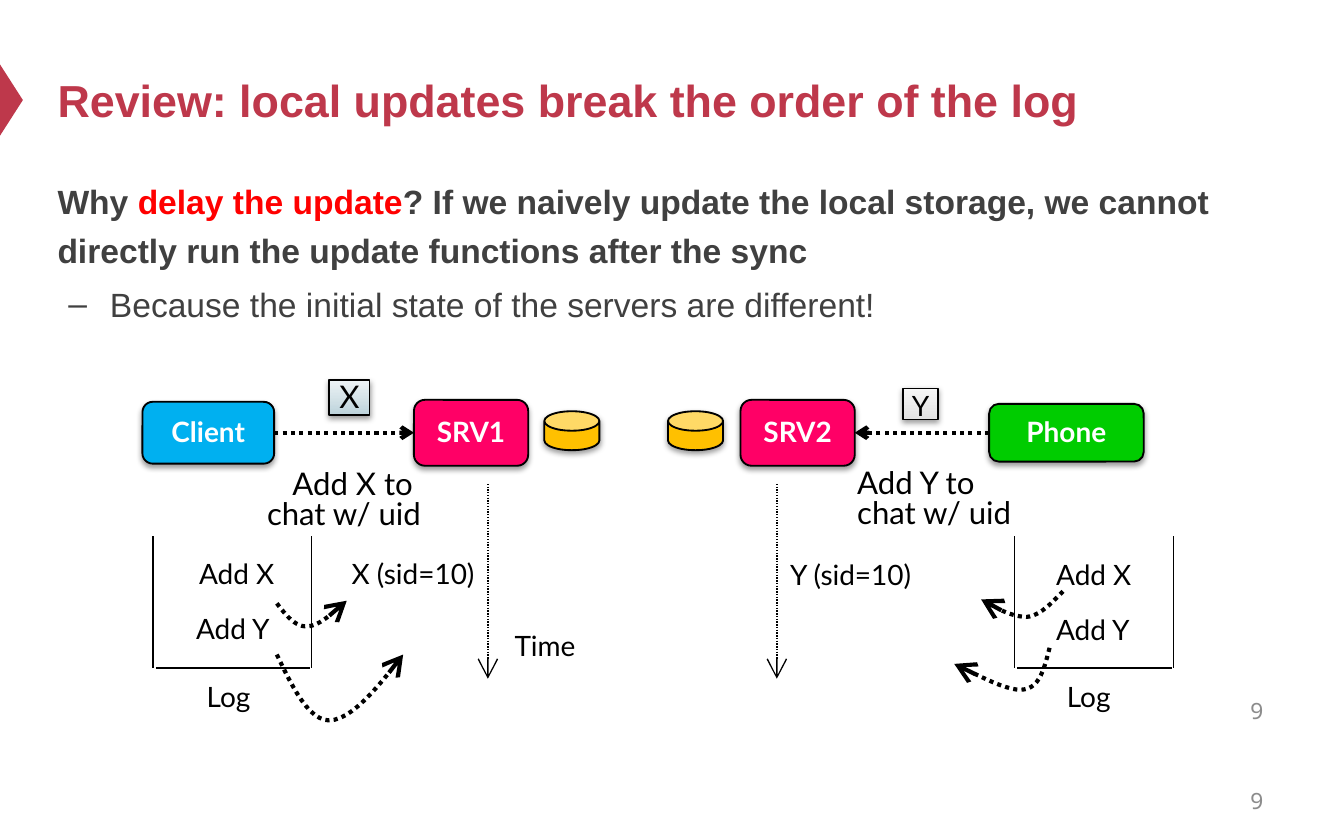
from lxml import etree
from pptx import Presentation
from pptx.dml.color import RGBColor
from pptx.enum.dml import MSO_LINE
from pptx.enum.shapes import MSO_CONNECTOR, MSO_SHAPE
from pptx.enum.text import MSO_ANCHOR, MSO_AUTO_SIZE, PP_ALIGN
from pptx.oxml.ns import qn
from pptx.util import Inches, Pt

LEFT, CENTER, RIGHT = PP_ALIGN.LEFT, PP_ALIGN.CENTER, PP_ALIGN.RIGHT
TOP, MIDDLE = MSO_ANCHOR.TOP, MSO_ANCHOR.MIDDLE
DOTTED, STRAIGHT = MSO_LINE.ROUND_DOT, MSO_CONNECTOR.STRAIGHT
RECT, ROUNDED, CAN = MSO_SHAPE.RECTANGLE, MSO_SHAPE.ROUNDED_RECTANGLE, MSO_SHAPE.CAN
TRIANGLE = MSO_SHAPE.ISOSCELES_TRIANGLE
CONNECT_LEFT, CONNECT_RIGHT = 1, 3

THEME = {
    "accent": "BE384B", "body": "404040", "alert": "FF0000", "ink": "000000",
    "server": "FF0066", "client": "00B0F0", "phone": "00CC00", "store": "FFC000",
    "x_op": ("BDD3DB", "EDF3F5"), "y_op": ("E2E2E2", "F7F7F7"),
}
STYLES = {
    "title": {"name": "Arial", "size": Pt(24), "bold": True, "color": THEME["accent"]},
    "claim": {"name": "Arial", "size": Pt(18), "bold": True, "color": THEME["body"]},
    "alert": {"name": "Arial", "size": Pt(18), "bold": True, "color": THEME["alert"]},
    "reason": {"name": "Arial", "size": Pt(18), "bold": False, "color": THEME["body"]},
    "page": {"name": "Noto Sans Mono", "size": Pt(12), "color": "8C8C8C"},
    "node": {"name": "Lato", "size": Pt(15), "bold": True, "color": "FFFFFF"},
    "label": {"name": "Lato", "size": Pt(15), "color": THEME["ink"]},
    "request": {"name": "Lato", "size": Pt(16.7), "color": THEME["ink"]},
}

TITLE = "Review: local updates break the order of the log"
CLAIM = [
    ("Why ", "claim"),
    ("delay the update", "alert"),
    ("? If we naively update the local storage, we cannot directly run "
     "the update functions after the sync", "claim"),
]
REASON = "Because the initial state of the servers are different!"
PAGE, PAGE_TOPS = "9", (5.12, 5.79)

ROW_Y = 3.22
NODES = {
    "Client": (1.06, 0.98, 0.46, "client"),
    "SRV1": (3.08, 0.85, 0.49, "server"),
    "SRV2": (5.51, 0.85, 0.49, "server"),
    "Phone": (7.36, 1.15, 0.43, "phone"),
}
REQUESTS = [("Client", CONNECT_RIGHT, "SRV1", CONNECT_LEFT),
            ("Phone", CONNECT_LEFT, "SRV2", CONNECT_RIGHT)]
STORES = (4.05, 4.97)
OPERATIONS = [("X", (2.45, 2.83, 0.3, 0.26), "x_op", "request", 1, 0.03),
              ("Y", (6.72, 2.89, 0.26, 0.23), "y_op", "label", 0.75, 0.07)]
LABELS = [
    ("Add X to \nchat w/ uid", (1.84, 3.46, 1.39, 0.55), "request", RIGHT, 0.8),
    ("Add Y to\nchat w/ uid", (6.28, 3.45, 1.39, 0.55), "request", LEFT, 0.8),
    ("X (sid=10)", (2.5, 4.14, 1.13, 0.31), "label", RIGHT, 0.8),
    ("Y (sid=10)", (5.78, 4.15, 1.12, 0.31), "label", LEFT, 0.8),
    ("Add X", (1.36, 4.14, 0.78, 0.31), "label", RIGHT, 0.8),
    ("Add Y ", (1.34, 4.55, 0.81, 0.31), "label", RIGHT, 0.8),
    ("Add X", (7.76, 4.15, 0.78, 0.31), "label", LEFT, 0.8),
    ("Add Y", (7.76, 4.56, 0.76, 0.31), "label", LEFT, 0.8),
    ("Time", (3.73, 4.63, 0.72, 0.35), "label", LEFT, 1.0),
    ("Log", (1.44, 5.01, 0.56, 0.35), "label", LEFT, 1.0),
    ("Log", (7.84, 5.01, 0.56, 0.35), "label", LEFT, 1.0),
]
TIMELINES, TIME_START, TIME_END = (3.63, 5.78), 3.6, 5.05
LOGS, LOG_WIDTH, LOG_TOP, LOG_BOTTOM = (1.14, 7.55), 1.18, 3.99, 4.97
REPLAYS = [
    [(2.06, 4.87), (2.18, 5.12), (2.3, 5.36), (2.45, 5.36), (2.61, 5.36), (2.81, 5.12), (3, 4.87)],
    [(2.06, 4.49), (2.13, 4.58), (2.2, 4.67), (2.29, 4.66), (2.37, 4.66), (2.48, 4.56), (2.58, 4.47)],
    [(7.91, 4.4), (7.82, 4.49), (7.74, 4.58), (7.64, 4.59), (7.53, 4.59), (7.42, 4.53), (7.3, 4.46)],
    [(7.81, 4.82), (7.77, 4.97), (7.74, 5.11), (7.62, 5.13), (7.51, 5.15), (7.31, 5.04), (7.1, 4.94)],
]
CURVE_STEPS = 12

deck = Presentation()
deck.slide_width, deck.slide_height = Inches(10), Inches(6.25)
slide = deck.slides.add_slide(deck.slide_layouts[6])
shapes = slide.shapes


def rgb(value):
    return RGBColor.from_string(value)


def apply(target, settings):
    for attribute, value in settings.items():
        setattr(target, attribute, value)


def write(paragraph, text, style):
    for index, line in enumerate(text.split("\n")):
        if index:
            paragraph.add_line_break()
        run = paragraph.add_run()
        run.text = line
        for attribute, value in STYLES[style].items():
            if attribute == "color":
                run.font.color.rgb = rgb(value)
            else:
                setattr(run.font, attribute, value)


def add_text(box, text, style, align=LEFT, spacing=1.0, wrap=True, anchor=TOP):
    area = shapes.add_textbox(*map(Inches, box))
    apply(area.text_frame, {"word_wrap": wrap, "vertical_anchor": anchor})
    if not wrap:
        area.text_frame.auto_size = MSO_AUTO_SIZE.SHAPE_TO_FIT_TEXT
    paragraph = area.text_frame.paragraphs[0]
    apply(paragraph, {"alignment": align, "line_spacing": spacing})
    write(paragraph, text, style)


def add_block(kind, box, fill, line_width=1, text="", style="node", insets=(0, 0.03, 0, 0.05),
              spacing=1.0):
    block = shapes.add_shape(kind, *map(Inches, box))
    if isinstance(fill, tuple):
        block.fill.gradient()
        block.fill.gradient_angle = 90
        for stop, color in zip(block.fill.gradient_stops, fill):
            stop.color.rgb = rgb(color)
    else:
        block.fill.solid()
        block.fill.fore_color.rgb = rgb(fill)
    block.line.color.rgb = rgb(THEME["ink"])
    block.line.width = Pt(line_width)
    block.shadow.inherit = False
    effects = block._element.spPr.find(qn("a:effectLst"))
    shadow = etree.SubElement(effects, qn("a:outerShdw"), blurRad=str(Pt(3.1)),
                              dist=str(Pt(1.6)), dir="5400000", rotWithShape="0")
    color = etree.SubElement(shadow, qn("a:srgbClr"), val=THEME["ink"])
    etree.SubElement(color, qn("a:alpha"), val="38000")
    if text:
        frame = block.text_frame
        apply(frame, {"word_wrap": False, "vertical_anchor": MIDDLE})
        sides = ("margin_left", "margin_top", "margin_right", "margin_bottom")
        apply(frame, dict(zip(sides, map(Inches, insets))))
        apply(frame.paragraphs[0], {"alignment": CENTER, "line_spacing": spacing})
        write(frame.paragraphs[0], text, style)
    return block


def style_line(stroke, width, dotted=False, arrow=None):
    stroke.line.color.rgb = rgb(THEME["ink"])
    stroke.line.width = Pt(width)
    if dotted:
        stroke.line.dash_style = DOTTED
    if arrow:
        etree.SubElement(stroke.line._get_or_add_ln(), qn("a:tailEnd"),
                         type="arrow", w=arrow, len=arrow)


def add_line(x1, y1, x2, y2, width=0.75, dotted=False, arrow=None):
    line = shapes.add_connector(STRAIGHT, *map(Inches, (x1, y1, x2, y2)))
    style_line(line, width, dotted, arrow)
    etree.SubElement(line._element.spPr, qn("a:effectLst"))
    return line


def curve_points(controls):
    for start in range(0, len(controls) - 1, 3):
        for step in range(1, CURVE_STEPS + 1):
            t = step / CURVE_STEPS
            weights = ((1 - t) ** 3, 3 * t * (1 - t) ** 2, 3 * t * t * (1 - t), t ** 3)
            yield tuple(Inches(sum(w * point[axis] for w, point
                                   in zip(weights, controls[start:start + 4])))
                        for axis in (0, 1))


marker = shapes.add_shape(TRIANGLE, *map(Inches, (-0.18, 0.66, 0.53, 0.17)))
marker.rotation = 90
marker.fill.solid()
marker.fill.fore_color.rgb = rgb(THEME["accent"])
marker.line.fill.background()
marker.shadow.inherit = False

add_text((0.33, 0.25, 9, 0.98), TITLE, "title", anchor=MIDDLE)

body = shapes.add_textbox(*map(Inches, (0.33, 1.24, 9, 2.05))).text_frame
body.word_wrap = True
claim, reason = body.paragraphs[0], body.add_paragraph()
for text, style in CLAIM:
    write(claim, text, style)
bullet = reason._p.get_or_add_pPr()
bullet.set("marL", str(Inches(0.39)))
bullet.set("indent", str(Inches(-0.31)))
etree.SubElement(bullet, qn("a:buFont"), typeface="Arial")
etree.SubElement(bullet, qn("a:buChar"), char="–")
write(reason, REASON, "reason")
claim.line_spacing = reason.line_spacing = 1.2
reason.space_before = Pt(3)

for top in PAGE_TOPS:
    add_text((7.17, top, 2.33, 0.33), PAGE, "page", RIGHT, anchor=MIDDLE)
for text, box, style, align, spacing in LABELS:
    add_text(box, text, style, align, spacing, wrap=False)
for text, box, fill, style, outline, inset_top in OPERATIONS:
    add_block(RECT, box, THEME[fill], outline, text, style, (0.03, inset_top, 0.03, 0), 0.8)
for left in STORES:
    add_block(CAN, (left, 3.06, 0.41, 0.29), THEME["store"]).adjustments[0] = 0.5

nodes = {name: add_block(ROUNDED, (left, ROW_Y - height / 2, width, height), THEME[fill], text=name)
         for name, (left, width, height, fill) in NODES.items()}
for sender, exit_side, server, entry_side in REQUESTS:
    request = add_line(0, 0, 1, 1, 2.25, dotted=True, arrow="med")
    request.begin_connect(nodes[sender], exit_side)
    request.end_connect(nodes[server], entry_side)

for x in TIMELINES:
    add_line(x, TIME_START, x, TIME_END, dotted=True, arrow="lg")
for left in LOGS:
    right = left + LOG_WIDTH
    for x in (left, right):
        add_line(x, LOG_TOP, x, LOG_BOTTOM)
    add_line(left + 0.02, LOG_BOTTOM, right - 0.01, LOG_BOTTOM)

for controls in REPLAYS:
    outline = shapes.build_freeform(*map(Inches, controls[0]))
    outline.add_line_segments(curve_points(controls), close=False)
    replay = outline.convert_to_shape()
    replay.fill.background()
    replay.shadow.inherit = False
    style_line(replay, 2.25, dotted=True, arrow="lg")

deck.save("out.pptx")
